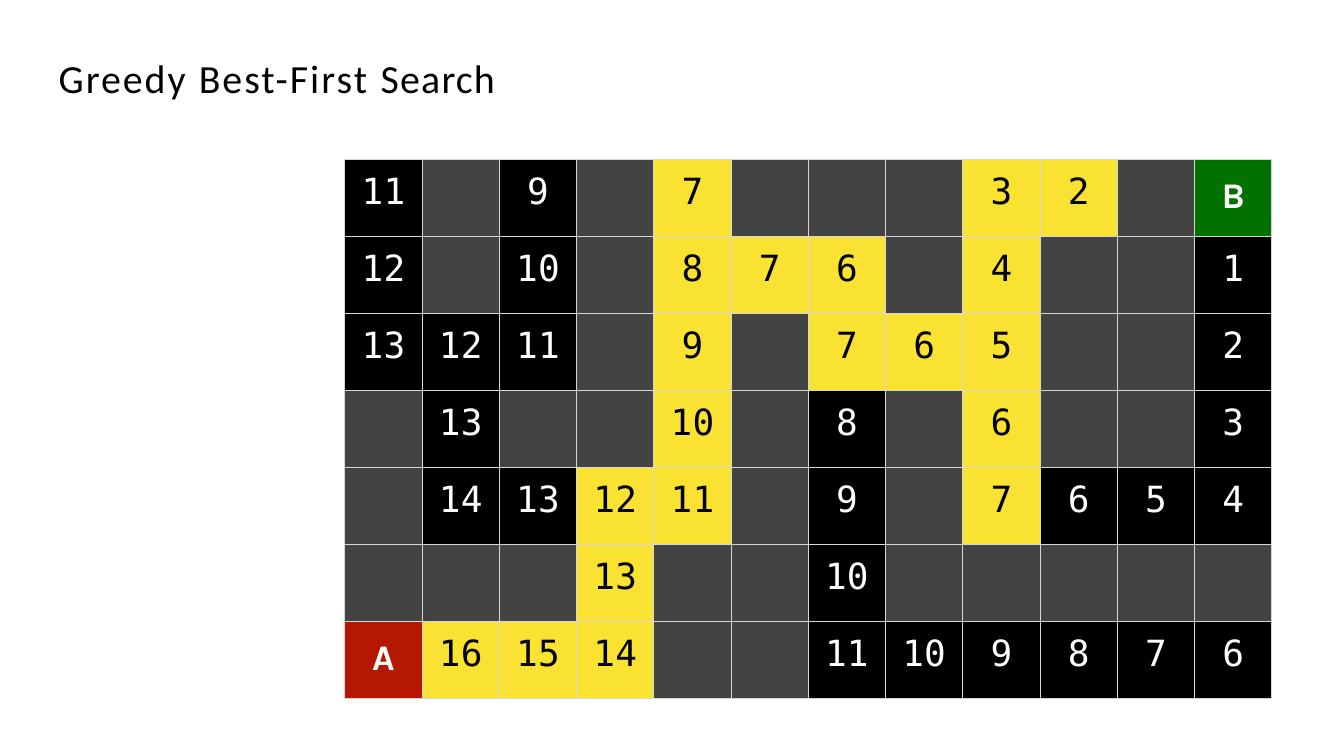
from lxml.etree import SubElement
from pptx import Presentation
from pptx.dml.color import RGBColor
from pptx.enum.text import MSO_ANCHOR, PP_ALIGN
from pptx.oxml.ns import qn
from pptx.util import Cm, Pt

TITLE = [("Greedy ", 2.3), ("Best-First ", 2.4), ("Search", 1.4)]
WALL, PATH = "#", "*"
MAZE = [
    "11 # 9 # 7* # # # 3* 2* # B",
    "12 # 10 # 8* 7* 6* # 4* # # 1",
    "13 12 11 # 9* # 7* 6* 5* # # 2",
    "# 13 # # 10* # 8 # 6* # # 3",
    "# 14 13 12* 11* # 9 # 7* 6 5 4",
    "# # # 13* # # 10 # # # # #",
    "A 16* 15* 14* # # 11 10 9 8 7 6",
]

BLACK = RGBColor(0x00, 0x00, 0x00)
WHITE = RGBColor(0xFF, 0xFF, 0xFF)
GRAY = RGBColor(0x43, 0x43, 0x43)
YELLOW = RGBColor(0xFA, 0xE2, 0x32)
GRID = RGBColor(0xD6, 0xD7, 0xD6)
ENDS = {"A": RGBColor(0xB5, 0x17, 0x00), "B": RGBColor(0x01, 0x71, 0x00)}

CELL_W, CELL_H = Cm(3.21), Cm(3.2)


def add_run(p, text, font, size, color, spacing=0, bold=False):
    r = p.add_run()
    r.text = text
    r.font.name = font
    r.font.size = Pt(size)
    r.font.bold = bold
    r.font.color.rgb = color
    r._r.get_or_add_rPr().set("spc", str(round(spacing * 100)))


def set_borders(cell):
    tc_pr = cell._tc.get_or_add_tcPr()
    for side in ("lnL", "lnR", "lnT", "lnB"):
        ln = SubElement(tc_pr, qn(f"a:{side}"), w=str(Pt(1)))
        fill = SubElement(ln, qn("a:solidFill"))
        SubElement(fill, qn("a:srgbClr"), val=str(GRID))


def fill_cell(cell, mark):
    set_borders(cell)
    cell.fill.solid()
    if mark == WALL:
        cell.fill.fore_color.rgb = GRAY
        return
    is_end, on_path = mark in ENDS, mark.endswith(PATH)
    cell.fill.fore_color.rgb = ENDS.get(mark, YELLOW if on_path else BLACK)
    cell.margin_left = cell.margin_right = cell.margin_bottom = 0
    cell.margin_top = Cm(0.65 if is_end else 0.46)
    cell.vertical_anchor = MSO_ANCHOR.TOP
    text = mark.rstrip(PATH)
    p = cell.text_frame.paragraphs[0]
    p.alignment = PP_ALIGN.CENTER
    add_run(p, text, "Karla" if is_end else "DejaVu Sans Mono", 42.5,
            BLACK if on_path else WHITE, 0.2 if len(text) > 1 else 0, is_end)


prs = Presentation()
prs.slide_width, prs.slide_height = Cm(55.85), Cm(31.42)
s = prs.slides.add_slide(prs.slide_layouts[5])

title = s.shapes.title
title.left, title.top = Cm(2.44), Cm(2.18)
title.width, title.height = Cm(20.5), Cm(2.06)
tf = title.text_frame
tf.margin_left = tf.margin_right = tf.margin_top = tf.margin_bottom = 0
tf.vertical_anchor = MSO_ANCHOR.MIDDLE
p = tf.paragraphs[0]
p.alignment = PP_ALIGN.LEFT
for text, spacing in TITLE:
    add_run(p, text, "Calibri", 47, BLACK, spacing)

rows = [line.split() for line in MAZE]
n_rows, n_cols = len(rows), len(rows[0])
table = s.shapes.add_table(n_rows, n_cols, Cm(14.33), Cm(6.63),
                           CELL_W * n_cols, CELL_H * n_rows).table
table.first_row = table.horz_banding = False
for column in table.columns:
    column.width = CELL_W
for i, marks in enumerate(rows):
    table.rows[i].height = CELL_H
    for j, mark in enumerate(marks):
        fill_cell(table.cell(i, j), mark)

prs.save("out.pptx")
